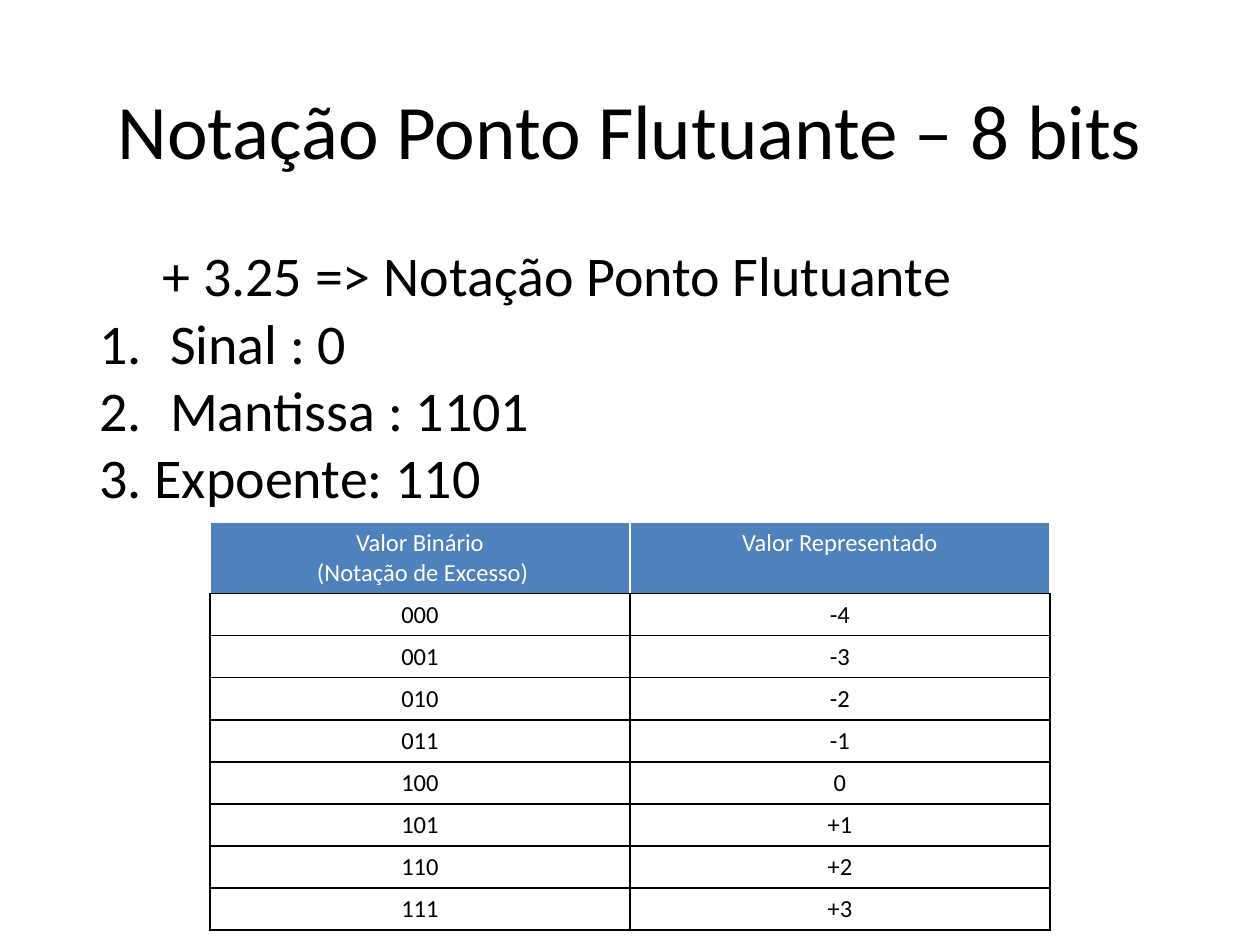
from lxml.etree import SubElement
from pptx import Presentation
from pptx.dml.color import RGBColor
from pptx.enum.text import MSO_ANCHOR as Anchor, MSO_AUTO_SIZE as AutoSize, PP_ALIGN as Align
from pptx.oxml.ns import qn
from pptx.util import Inches, Pt

COLORS = {"text": "000000", "paper": "FFFFFF", "header": "4F81BD"}
COLUMNS = ROWS = 12


class SlideBuilder:
    """Places styled text and tables on a slide, measured on a 12 by 12 grid."""

    font_name = "Calibri"

    def __init__(self, deck):
        self.column = deck.slide_width / COLUMNS
        self.row = deck.slide_height / ROWS
        self.slide = deck.slides.add_slide(deck.slide_layouts[6])

    def area(self, left, top, width, height):
        return (int(left * self.column), int(top * self.row),
                int(width * self.column), int(height * self.row))

    def style(self, paragraph, size, color="text", align=Align.LEFT):
        paragraph.alignment = align
        paragraph.font.name = self.font_name
        paragraph.font.size = Pt(size)
        paragraph.font.color.rgb = RGBColor.from_string(COLORS[color])

    def title(self, text, *place):
        frame = self.slide.shapes.add_textbox(*self.area(*place)).text_frame
        frame.word_wrap = True
        frame.vertical_anchor = Anchor.MIDDLE
        frame.text = text
        self.style(frame.paragraphs[0], 44, align=Align.CENTER)

    def steps(self, lines, numbered, *place):
        frame = self.slide.shapes.add_textbox(*self.area(*place)).text_frame
        frame.word_wrap = False
        frame.auto_size = AutoSize.SHAPE_TO_FIT_TEXT
        frame.text = "\n".join(lines)
        for line, paragraph in zip(lines, frame.paragraphs):
            self.style(paragraph, 32)
            if line in numbered:
                self.number(paragraph)

    def number(self, paragraph):
        indent = Inches(0.56)
        properties = paragraph._p.get_or_add_pPr()
        properties.set("marL", str(indent))
        properties.set("indent", str(-indent))
        SubElement(properties, qn("a:buFont"), typeface="+mj-lt")
        SubElement(properties, qn("a:buAutoNum"), type="arabicPeriod")

    def table(self, records, header_height, row_height, *place):
        height = header_height + row_height * (len(records) - 1)
        table = self.slide.shapes.add_table(
            len(records), len(records[0]), *self.area(*place, height)).table
        for index, record in enumerate(records):
            is_header = index == 0
            table.rows[index].height = int(self.row * (row_height if index else header_height))
            for cell, text in zip(table.rows[index].cells, record):
                cell.text = text
                for paragraph in cell.text_frame.paragraphs:
                    self.style(paragraph, 14, "paper" if is_header else "text", Align.CENTER)
                edge = "paper" if is_header else "text"
                self.borders(cell, L=edge, R=edge, T=edge, B="text")
                cell.fill.solid()
                cell.fill.fore_color.rgb = RGBColor.from_string(
                    COLORS["header" if is_header else "paper"])

    def borders(self, cell, **edges):
        properties = cell._tc.get_or_add_tcPr()
        for side, color in edges.items():
            line = SubElement(properties, qn(f"a:ln{side}"), w=str(Pt(1)))
            SubElement(SubElement(line, qn("a:solidFill")), qn("a:srgbClr"), val=COLORS[color])


def main():
    deck = Presentation()
    deck.slide_width, deck.slide_height = Inches(10), Inches(7.5)
    builder = SlideBuilder(deck)
    builder.title("Notação Ponto Flutuante – 8 bits", 0.9, 0.34, 10.2, 2.58)

    numbered = ["Sinal : 0", "Mantissa : 1101"]
    lines = ["\t+ 3.25 => Notação Ponto Flutuante", *numbered, "3. Expoente: 110"]
    builder.steps(lines, numbered, 0.83, 2.98, 9.05, 3.62)

    excess = 4
    headings = ("Valor Binário\n (Notação de Excesso)", "Valor Representado")
    values = [(f"{code:03b}", f"{code - excess:+d}" if code != excess else "0")
              for code in range(2 * excess)]
    builder.table([headings, *values], 0.9, 0.53, 2, 6.63, 8)
    deck.save("out.pptx")


if __name__ == "__main__":
    main()
